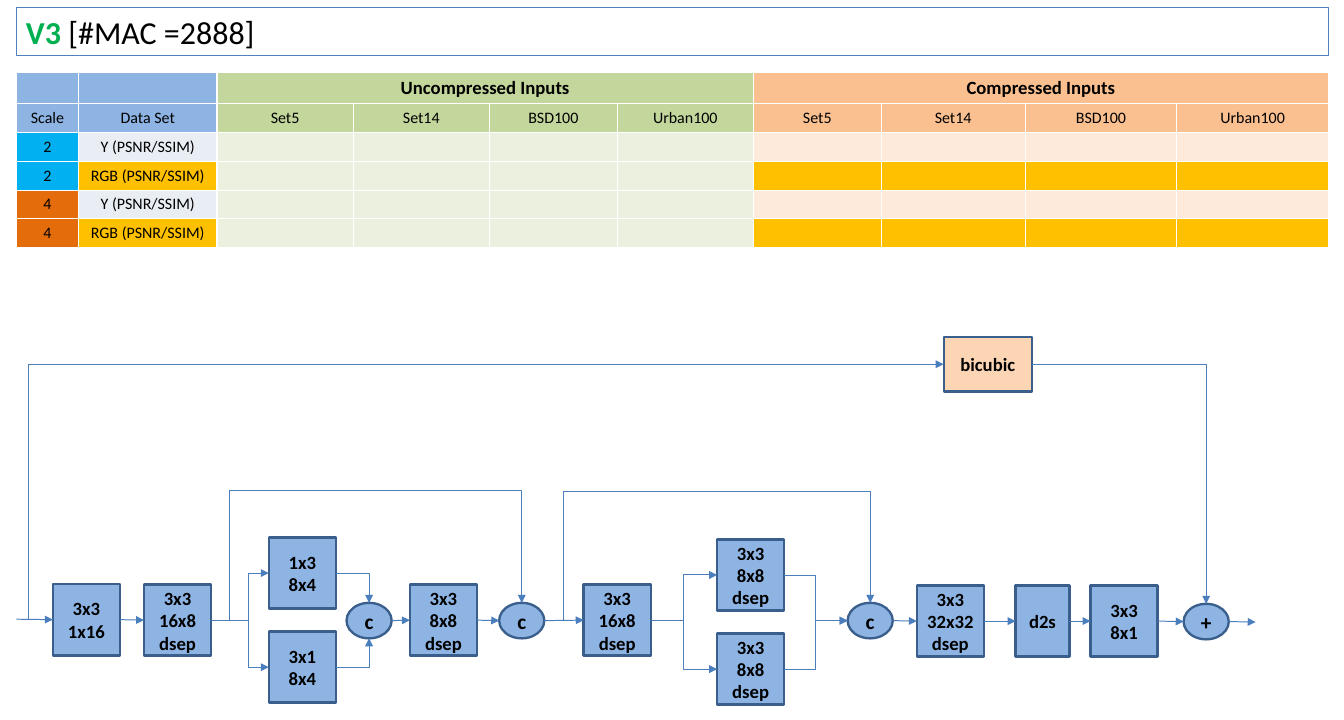
from dataclasses import dataclass
from typing import Optional

from lxml.etree import SubElement
from pptx import Presentation
from pptx.dml.color import RGBColor
from pptx.enum.shapes import MSO_CONNECTOR, MSO_SHAPE
from pptx.enum.text import MSO_ANCHOR, MSO_AUTO_SIZE, PP_ALIGN
from pptx.oxml.ns import qn
from pptx.util import Inches, Pt

BLUE, PEACH, OUTLINE, ARROW = "8EB4E3", "FCD5B5", "3A5F8C", "4B7EBC"
GREEN, ORANGE, AMBER = "C3D69B", "FAC090", "FFC000"
PALE_GREEN, PALE_ORANGE, PALE_BLUE = "EBF1DE", "FDEADA", "E9EDF4"
BLACK = "000000"


@dataclass
class Block:
    """One network operation; lengths in inches."""
    text: str
    left: float
    top: float
    width: float = 0.7
    height: float = 0.74
    fill: str = BLUE
    shape_type: MSO_SHAPE = MSO_SHAPE.RECTANGLE
    size: int = 14

    def side(self, name: str) -> tuple[float, float]:
        """Return the middle of the named side."""
        middle_x, middle_y = self.left + self.width / 2, self.top + self.height / 2
        return {"left": (self.left, middle_y), "right": (self.left + self.width, middle_y),
                "top": (middle_x, self.top), "bottom": (middle_x, self.top + self.height)}[name]


@dataclass
class Link:
    """An arrow from the right of one block to a side of another."""
    source: str
    target: str
    side: str = "left"
    via_x: Optional[float] = None
    via_y: Optional[float] = None


def node(text: str, left: float, top: float = 6.28) -> Block:
    """Describe a round merge node."""
    return Block(text, left, top, 0.47, 0.37, shape_type=MSO_SHAPE.OVAL, size=16)


BLOCKS = {
    "input conv": Block("3x3\n1x16", 0.55, 6.08, height=0.75),
    "split 1": Block("3x3\n16x8\ndsep", 1.5, 6.09),
    "upper 1": Block("1x3\n8x4", 2.8, 5.6),
    "lower 1": Block("3x1\n8x4", 2.8, 6.58),
    "concat 1": node("c", 3.61),
    "fuse": Block("3x3\n8x8\ndsep", 4.27, 6.09),
    "concat 2": node("c", 5.2),
    "split 2": Block("3x3\n16x8\ndsep", 6.08, 6.09),
    "upper 2": Block("3x3\n8x8\ndsep", 7.47, 5.62),
    "lower 2": Block("3x3\n8x8\ndsep", 7.47, 6.6),
    "concat 3": node("c", 8.83),
    "wide conv": Block("3x3\n32x32\ndsep", 9.55, 6.1),
    "d2s": Block("d2s", 10.58, 6.1, width=0.56),
    "output conv": Block("3x3\n8x1", 11.36, 6.1),
    "sum": node("+", 12.33, 6.29),
    "bicubic": Block("bicubic", 9.83, 3.51, 0.92, 0.57, PEACH),
}
LINKS = [
    Link("input conv", "split 1"),
    Link("split 1", "upper 1", via_x=2.59),
    Link("split 1", "lower 1", via_x=2.59),
    Link("upper 1", "concat 1", "top"),
    Link("lower 1", "concat 1", "bottom"),
    Link("concat 1", "fuse"),
    Link("fuse", "concat 2"),
    Link("split 1", "concat 2", "top", 2.39, 5.11),
    Link("concat 2", "split 2"),
    Link("concat 2", "concat 3", "top", 5.87, 5.12),
    Link("split 2", "upper 2", via_x=7.12),
    Link("split 2", "lower 2", via_x=7.12),
    Link("upper 2", "concat 3", via_x=8.5),
    Link("lower 2", "concat 3", via_x=8.5),
    Link("concat 3", "wide conv"),
    Link("wide conv", "d2s"),
    Link("d2s", "output conv"),
    Link("output conv", "sum"),
    Link("bicubic", "sum", "top"),
]


def color(value: str) -> RGBColor:
    """Turn a hex string into a colour."""
    return RGBColor.from_string(value)


def format_paragraph(paragraph, size: int, bold: bool) -> None:
    """Centre a paragraph and set its font."""
    paragraph.alignment = PP_ALIGN.CENTER
    font = paragraph.font
    font.name, font.size, font.bold = "Calibri", Pt(size), bold
    font.color.rgb = color(BLACK)


def draw_title(slide) -> None:
    """Fill the outlined title bar."""
    title = slide.shapes.title
    title.left, title.top = Inches(0.17), Inches(0.08)
    title.width, title.height = Inches(13.67), Inches(0.5)
    title.line.color.rgb, title.line.width = color("4F81BD"), Pt(0.75)
    frame = title.text_frame
    frame.auto_size, frame.vertical_anchor = MSO_AUTO_SIZE.NONE, MSO_ANCHOR.TOP
    paragraph = frame.paragraphs[0]
    paragraph.alignment = PP_ALIGN.LEFT
    paragraph.font.name, paragraph.font.size = "Calibri", Pt(24)
    for text, value, bold in (("V3", "00B050", True), (" [#MAC =2888]", BLACK, False)):
        run = paragraph.add_run()
        run.text, run.font.bold = text, bold
        run.font.color.rgb = color(value)


def draw_results_table(slide) -> None:
    """Draw the results table with its two input groups."""
    sets = ["Set5", "Set14", "BSD100", "Urban100"]
    rows = [
        (["", "", "Uncompressed Inputs", "", "", "", "Compressed Inputs", "", "", ""],
         (BLUE, BLUE, GREEN, ORANGE)),
        (["Scale", "Data Set"] + sets * 2, (BLUE, BLUE, GREEN, ORANGE)),
    ]
    for scale, scale_fill in (("2", "00B0F0"), ("4", "E46C0A")):
        for channel, fill, result_fill in (("Y", PALE_BLUE, PALE_ORANGE), ("RGB", AMBER, AMBER)):
            rows.append(([scale, f"{channel} (PSNR/SSIM)"] + [""] * 8,
                         (scale_fill, fill, PALE_GREEN, result_fill)))
    widths = [0.65, 1.44, 1.42, 1.42, 1.33, 1.42, 1.33, 1.5, 1.58, 1.58]
    table = slide.shapes.add_table(len(rows), len(widths), Inches(0.17), Inches(0.75),
                                   Inches(13.67), Inches(1.83)).table
    for column, width in zip(table.columns, widths):
        column.width = Inches(width)
    for row_index, (texts, fills) in enumerate(rows):
        header = row_index == 0
        table.rows[row_index].height = Inches(0.33 if header else 0.3)
        for column_index, text in enumerate(texts):
            cell = table.cell(row_index, column_index)
            cell.text = text
            cell.vertical_anchor = MSO_ANCHOR.MIDDLE
            cell.margin_top = cell.margin_bottom = 0
            cell.fill.solid()
            group = column_index if column_index < 2 else 2 + (column_index - 2) // 4
            cell.fill.fore_color.rgb = color(fills[group])
            format_paragraph(cell.text_frame.paragraphs[0], 14 if header else 12, header)
    for first in (2, 6):
        table.cell(0, first).merge(table.cell(0, first + 3))


def draw_block(slide, block: Block) -> None:
    """Draw one operation block or merge node."""
    shape = slide.shapes.add_shape(block.shape_type, Inches(block.left), Inches(block.top),
                                   Inches(block.width), Inches(block.height))
    shape.shadow.inherit = False
    shape.fill.solid()
    shape.fill.fore_color.rgb = color(block.fill)
    shape.line.color.rgb, shape.line.width = color(OUTLINE), Pt(1.75)
    frame = shape.text_frame
    frame.margin_left = frame.margin_right = frame.margin_top = frame.margin_bottom = 0
    frame.vertical_anchor = MSO_ANCHOR.MIDDLE
    frame.text = block.text
    for paragraph in frame.paragraphs:
        format_paragraph(paragraph, block.size, True)


def draw_arrow(slide, start: tuple[float, float], end: tuple[float, float],
               preset: str = "line", via_x: Optional[float] = None,
               via_y: Optional[float] = None) -> None:
    """Draw an arrow whose bends lie at via_x and via_y."""
    kind = MSO_CONNECTOR.STRAIGHT if preset == "line" else MSO_CONNECTOR.ELBOW
    connector = slide.shapes.add_connector(kind, *(Inches(value) for value in start + end))
    connector.line.color.rgb, connector.line.width = color(ARROW), Pt(0.75)
    properties = connector._element.spPr
    geometry = properties.find(qn("a:prstGeom"))
    geometry.set("prst", preset)
    guides = geometry.find(qn("a:avLst"))
    for axis, via in enumerate((via_x, via_y)):
        if via is not None:
            share = (via - start[axis]) / (end[axis] - start[axis])
            SubElement(guides, qn("a:gd"), name=f"adj{axis + 1}" if via_y or axis else "adj1",
                       fmla=f"val {round(share * 100000)}")
    SubElement(properties.find(qn("a:ln")), qn("a:tailEnd"), type="triangle")
    SubElement(properties, qn("a:effectLst"))


def draw_link(slide, link: Link) -> None:
    """Draw the arrow between two blocks, choosing its number of bends."""
    if link.side == "left":
        preset = "line" if link.via_x is None else "bentConnector3"
    else:
        preset = "bentConnector2" if link.via_x is None else "bentConnector4"
    draw_arrow(slide, BLOCKS[link.source].side("right"), BLOCKS[link.target].side(link.side),
               preset, link.via_x, link.via_y)


def main() -> None:
    """Build and save the slide."""
    presentation = Presentation()
    presentation.slide_width, presentation.slide_height = Inches(14), Inches(7.5)
    slide = presentation.slides.add_slide(presentation.slide_layouts[5])
    draw_title(slide)
    draw_results_table(slide)
    for block in BLOCKS.values():
        draw_block(slide, block)
    for link in LINKS:
        draw_link(slide, link)
    entry = BLOCKS["input conv"].side("left")
    draw_arrow(slide, (0.17, 6.45), entry)
    draw_arrow(slide, entry, BLOCKS["bicubic"].side("left"), "bentConnector3", 0.3)
    draw_arrow(slide, BLOCKS["sum"].side("right"), (13.08, 6.48))
    presentation.save("out.pptx")


main()
